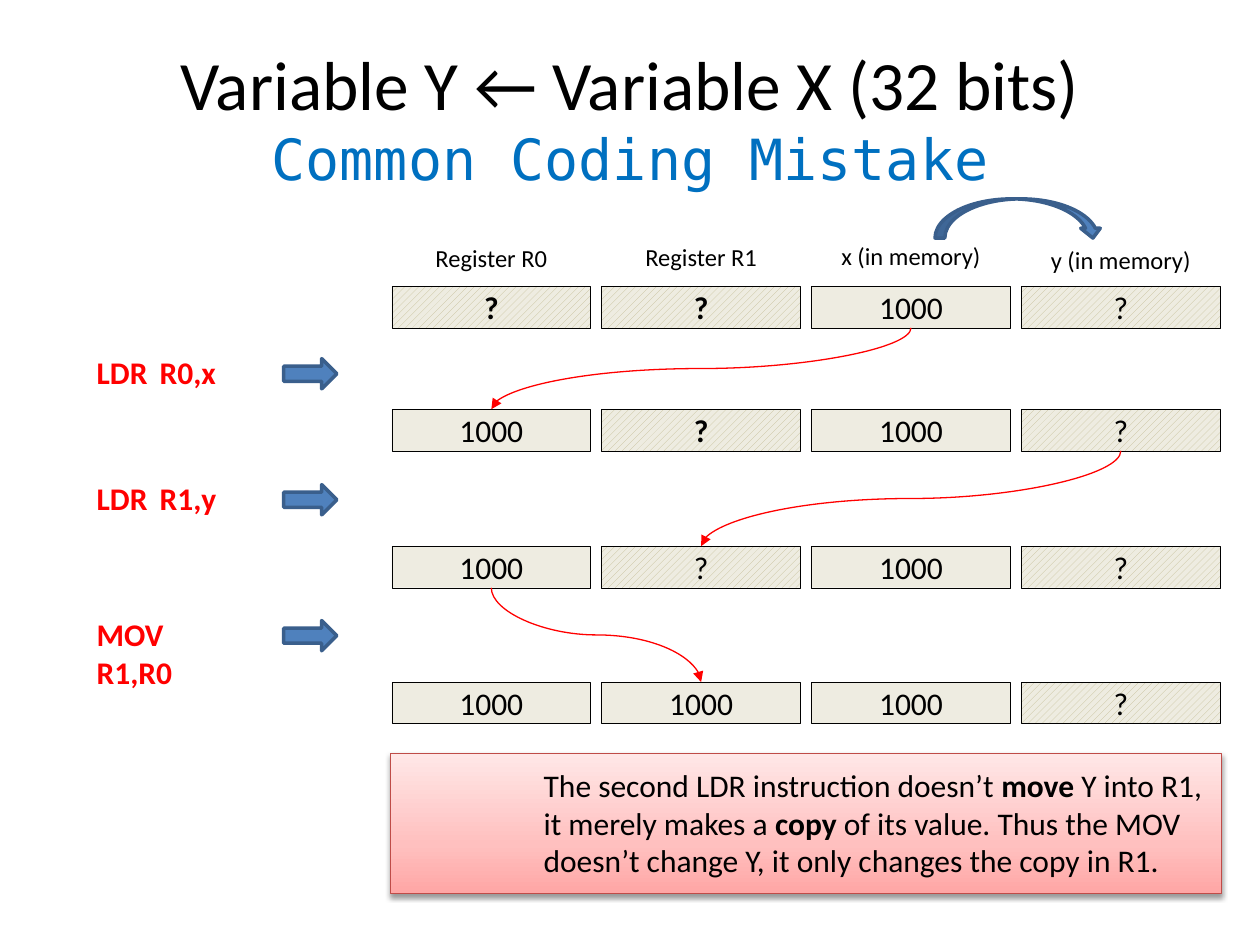
from dataclasses import dataclass

from lxml.etree import SubElement
from pptx import Presentation
from pptx.dml.color import RGBColor
from pptx.enum.dml import MSO_PATTERN
from pptx.enum.shapes import MSO_CONNECTOR, MSO_SHAPE
from pptx.enum.text import MSO_ANCHOR, MSO_AUTO_SIZE, PP_ALIGN
from pptx.oxml.ns import qn
from pptx.util import Cm, Pt


@dataclass
class Theme:
    sans: str = "Calibri"
    mono: str = "DejaVu Sans Mono"
    head: float = 39.6
    sub: float = 32.4
    body: float = 18
    label: float = 14
    ink: str = "000000"
    accent: str = "0070C0"
    red: str = "FF0000"
    cell: str = "EEECE1"
    hatch: str = "C4BD97"
    arrow: str = "4F81BD"
    edge: str = "3A5F8C"
    border: str = "BF4C48"
    fade: tuple = ((0, "FFA6A5"), (35, "FFC0BF"), (100, "FFE7E7"))


class Board:
    def __init__(self, slide, theme):
        self.slide, self.theme = slide, theme

    def style(self, run, size, color=None, bold=False, face=None):
        font = run.font
        font.name = face or self.theme.sans
        font.size, font.bold = Pt(size), bold
        font.color.rgb = RGBColor.from_string(color or self.theme.ink)

    def title(self, top, sub):
        box = self.slide.shapes.title
        box.left, box.top, box.width, box.height = Cm(1.27), Cm(0.76), Cm(22.86), Cm(3.18)
        frame = box.text_frame
        frame.auto_size = MSO_AUTO_SIZE.NONE
        frame.vertical_anchor = MSO_ANCHOR.MIDDLE
        para = frame.paragraphs[0]
        para.text = f"{top}\v{sub}"
        para.alignment = PP_ALIGN.CENTER
        first, last = para.runs
        self.style(first, self.theme.head)
        self.style(last, self.theme.sub, self.theme.accent, face=self.theme.mono)

    def text(self, words, x, y, w, h, size, color=None, bold=False, align=PP_ALIGN.LEFT):
        frame = self.slide.shapes.add_textbox(Cm(x), Cm(y), Cm(w), Cm(h)).text_frame
        frame.word_wrap = True
        para = frame.paragraphs[0]
        para.text, para.alignment = words, align
        self.style(para.runs[0], size, color, bold)

    def shape(self, kind, x, y, w, h, fill, edge, width):
        item = self.slide.shapes.add_shape(kind, Cm(x), Cm(y), Cm(w), Cm(h))
        item.shadow.inherit = False
        item.fill.solid()
        item.fill.fore_color.rgb = RGBColor.from_string(fill)
        item.line.color.rgb = RGBColor.from_string(edge)
        item.line.width = Pt(width)
        return item

    def arrow(self, kind, x, y, w, h):
        self.shape(kind, x, y, w, h, self.theme.arrow, self.theme.edge, 2)

    def cell(self, value, x, y, w, h, bold):
        look = self.theme
        item = self.shape(MSO_SHAPE.RECTANGLE, x, y, w, h, look.cell, look.ink, 0.25)
        if value == "?":
            item.fill.patterned()
            item.fill.pattern = MSO_PATTERN.WIDE_UPWARD_DIAGONAL
            item.fill.fore_color.rgb = RGBColor.from_string(look.hatch)
            item.fill.back_color.rgb = RGBColor.from_string(look.cell)
        frame = item.text_frame
        frame.vertical_anchor = MSO_ANCHOR.MIDDLE
        para = frame.paragraphs[0]
        para.text, para.alignment = value, PP_ALIGN.CENTER
        self.style(para.runs[0], look.body, bold=bold)

    def curve(self, x1, y1, x2, y2):
        # A quarter turn makes the curve leave and arrive vertically
        midx, midy = (x1 + x2) / 2, (y1 + y2) / 2
        halfw, halfh = (y2 - y1) / 2, abs(x2 - x1) / 2
        side = 1 if x2 < x1 else -1
        line = self.slide.shapes.add_connector(
            MSO_CONNECTOR.CURVE,
            Cm(midx - side * halfw), Cm(midy - halfh),
            Cm(midx + side * halfw), Cm(midy + halfh))
        line.line.color.rgb = RGBColor.from_string(self.theme.red)
        line.line.width = Pt(0.75)
        props = line._element.spPr
        turn = 90 if side == 1 else 270
        props.find(qn("a:xfrm")).set("rot", str(turn * 60000))
        SubElement(props.find(qn("a:ln")), qn("a:tailEnd"), type="triangle")
        SubElement(props, qn("a:effectLst"))

    def note(self, parts, x, y, w, h):
        look = self.theme
        item = self.shape(MSO_SHAPE.RECTANGLE, x, y, w, h, look.cell, look.border, 0.75)
        item.fill.gradient()
        item.fill.gradient_angle = 90
        props = item._element.spPr
        stops = props.find(".//" + qn("a:gsLst"))
        stops.clear()
        for pos, color in look.fade:
            stop = SubElement(stops, qn("a:gs"), pos=str(pos * 1000))
            SubElement(stop, qn("a:srgbClr"), val=color)
        shade = SubElement(props.find(qn("a:effectLst")), qn("a:outerShdw"),
                           blurRad=str(Pt(3.1)), dist=str(Pt(1.6)),
                           dir="5400000", rotWithShape="0")
        tint = SubElement(shade, qn("a:srgbClr"), val=look.ink)
        SubElement(tint, qn("a:alpha"), val="38000")
        frame = item.text_frame
        frame.word_wrap = True
        frame.vertical_anchor = MSO_ANCHOR.TOP
        frame.margin_left = frame.margin_right = Cm(0.25)
        frame.margin_top = frame.margin_bottom = Cm(0.25)
        para = frame.paragraphs[0]
        para.level, para.alignment = 1, PP_ALIGN.LEFT
        indent = para._p.get_or_add_pPr()
        indent.set("marL", str(Cm(2.84)))
        indent.set("indent", "0")
        for words, bold in parts:
            run = para.add_run()
            run.text = words
            self.style(run, look.body, bold=bold)


def main():
    deck = Presentation()
    deck.slide_width, deck.slide_height = Cm(25.4), Cm(19.05)
    look = Theme()
    board = Board(deck.slides.add_slide(deck.slide_layouts[5]), look)
    board.title("Variable Y ← Variable X (32 bits)", "Common Coding Mistake")

    # Grid of registers and memory
    wide, high = 4.01, 0.84
    cols = [7.9 + 4.23 * i for i in range(4)]
    rows = [5.77, 8.25, 11.01, 13.75]
    names = ["Register R0", "Register R1", "x (in memory)", "y (in memory)"]
    tops = [4.78, 4.75, 4.74, 4.81]
    for name, x, y in zip(names, cols, tops):
        board.text(name, x, y, wide, 0.86, look.label, align=PP_ALIGN.CENTER)
    states = [["?", "?", "1000", "?"],
              ["1000", "?", "1000", "?"],
              ["1000", "?", "1000", "?"],
              ["1000", "1000", "1000", "?"]]
    strong = {(0, 0), (0, 1), (1, 1)}
    for r, state in enumerate(states):
        for c, value in enumerate(state):
            board.cell(value, cols[c], rows[r], wide, high, (r, c) in strong)

    # Instructions with their arrows
    steps = [("LDR\tR0,x", 6.99), ("LDR\tR1,y", 9.53), ("MOV\tR1,R0", 12.27)]
    for code, y in steps:
        board.text(code, 1.7, y, 4.09, 1.02, look.body, look.red, True)
        board.arrow(MSO_SHAPE.RIGHT_ARROW, 5.72, y + 0.24, 1.07, 0.61)

    # Value moves: from column to column, one row down
    for r, (start, end) in enumerate([(2, 0), (3, 1), (0, 1)]):
        board.curve(cols[start] + wide / 2, rows[r] + high,
                    cols[end] + wide / 2, rows[r + 1])

    # Intended move from x to y
    board.arrow(MSO_SHAPE.CURVED_DOWN_ARROW, 18.85, 4.01, 3.38, 0.79)

    # Explanation
    board.note([("The second LDR instruction doesn’t ", False), ("move", True),
                (" Y into R1, it merely makes a ", False), ("copy", True),
                (" of its value. Thus the MOV doesn’t change Y, "
                 "it only changes the copy in R1.", False)],
               7.87, 15.19, 16.76, 2.82)
    deck.save("out.pptx")


if __name__ == "__main__":
    main()
